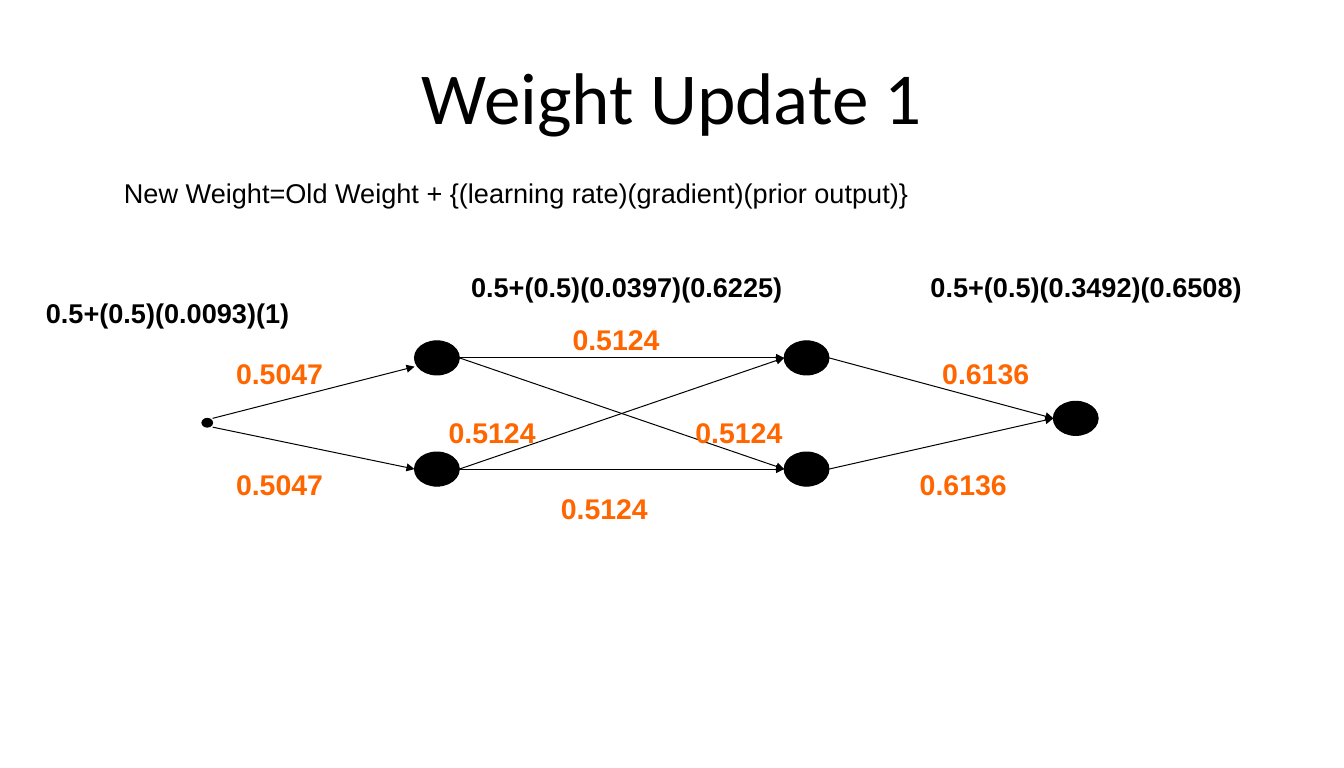
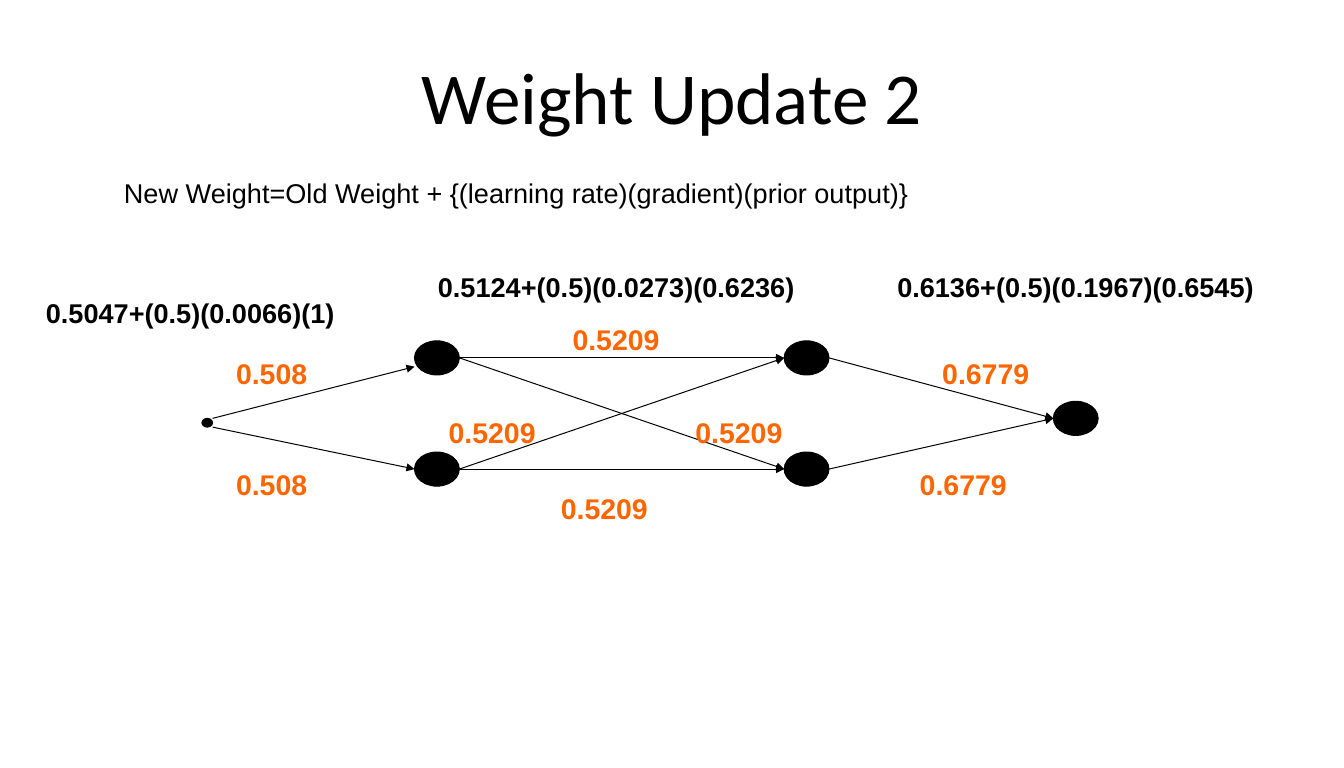
from lxml import etree
from pptx import Presentation
from pptx.dml.color import RGBColor
from pptx.enum import shapes, text
from pptx.oxml.ns import qn
from pptx.util import Inches, Pt

BLACK = RGBColor(0x00, 0x00, 0x00)
ORANGE = RGBColor(0xFF, 0x66, 0x00)

SLIDE_WIDTH, SLIDE_HEIGHT = Inches(13.78), Inches(63 / 8)

RULE = "New Weight=Old Weight + {(learning rate)(gradient)(prior output)}"
UPDATES = [
    {
        "title": "Weight Update 1",
        "formulas": [
            ("0.5+(0.5)(0.0093)(1)", 0.35, 2.98, 4.02),
            ("0.5+(0.5)(0.0397)(0.6225)", 4.71, 2.71, 4.02),
            ("0.5+(0.5)(0.3492)(0.6508)", 9.42, 2.71, 4.02),
        ],
        "weights": {"input": "0.5047", "hidden": "0.5124", "output": "0.6136"},
    },
    {
        "title": "Weight Update 2",
        "formulas": [
            ("0.5047+(0.5)(0.0066)(1)", 0.35, 2.98, 4.02),
            ("0.5124+(0.5)(0.0273)(0.6236)", 4.37, 2.71, 4.36),
            ("0.6136+(0.5)(0.1967)(0.6545)", 9.08, 2.71, 4.36),
        ],
        "weights": {"input": "0.508", "hidden": "0.5209", "output": "0.6779"},
    },
]

WEIGHT_PLACES = {
    "input": [(2.3, 3.59), (2.3, 4.73)],
    "hidden": [(5.75, 3.24), (4.48, 4.2), (7.01, 4.2), (5.63, 4.98)],
    "output": [(9.54, 3.59), (9.31, 4.73)],
}

NODE_WIDTH, NODE_HEIGHT = 0.46, 0.35
FIRST_X, SECOND_X, OUTPUT_X = 4.25, 8.04, 10.8
UPPER_Y, LOWER_Y, OUTPUT_Y = 3.67, 4.81, 4.29
INPUT_X, INPUT_Y, INPUT_WIDTH, INPUT_HEIGHT = 2.07, 4.29, 0.11, 0.09
ROWS = (UPPER_Y, LOWER_Y)

NODES = [(x, y) for x in (FIRST_X, SECOND_X) for y in ROWS] + [(OUTPUT_X, OUTPUT_Y)]
INPUT_RIGHT = INPUT_X + INPUT_WIDTH
ARROWS = [
    (INPUT_RIGHT, INPUT_Y, FIRST_X, 3.76),
    (INPUT_RIGHT, INPUT_Y + INPUT_HEIGHT, FIRST_X, LOWER_Y),
]
ARROWS += [(FIRST_X + NODE_WIDTH, start, SECOND_X, end) for start in ROWS for end in ROWS]
ARROWS += [(SECOND_X + NODE_WIDTH, start, OUTPUT_X, OUTPUT_Y) for start in ROWS]


def add_text(slide, content, left, top, width, height, size=20, font="Arial",
             color=BLACK, bold=False, align=text.PP_ALIGN.LEFT,
             anchor=text.MSO_ANCHOR.TOP):
    box = slide.shapes.add_textbox(Inches(left), Inches(top), Inches(width), Inches(height))
    frame = box.text_frame
    frame.word_wrap = True
    frame.vertical_anchor = anchor
    frame.margin_left = frame.margin_right = Inches(0.12)
    frame.margin_top = frame.margin_bottom = Inches(0.06)
    paragraph = frame.paragraphs[0]
    paragraph.alignment = align
    run = paragraph.add_run()
    run.text = content
    run.font.size = Pt(size)
    run.font.name = font
    run.font.bold = bold
    run.font.color.rgb = color


def add_node(slide, left, top, width, height):
    node = slide.shapes.add_shape(
        shapes.MSO_SHAPE.OVAL, Inches(left), Inches(top), Inches(width), Inches(height))
    node.shadow.inherit = False
    node.fill.solid()
    node.fill.fore_color.rgb = BLACK
    node.line.color.rgb = BLACK
    node.line.width = Pt(0.75)


def add_arrow(slide, *ends):
    arrow = slide.shapes.add_connector(
        shapes.MSO_CONNECTOR.STRAIGHT, *[Inches(value) for value in ends])
    arrow.line.color.rgb = BLACK
    arrow.line.width = Pt(0.75)
    etree.SubElement(arrow.line._get_or_add_ln(), qn("a:tailEnd"), type="triangle")
    etree.SubElement(arrow._element.spPr, qn("a:effectLst"))


def add_network(slide):
    for left, middle in NODES:
        add_node(slide, left, middle - NODE_HEIGHT / 2, NODE_WIDTH, NODE_HEIGHT)
    add_node(slide, INPUT_X, INPUT_Y, INPUT_WIDTH, INPUT_HEIGHT)
    for ends in ARROWS:
        add_arrow(slide, *ends)


def add_update(presentation, update):
    slide = presentation.slides.add_slide(presentation.slide_layouts[6])
    add_text(slide, update["title"], 0.69, 0.32, 12.4, 1.31, size=54, font="Calibri",
             align=text.PP_ALIGN.CENTER, anchor=text.MSO_ANCHOR.MIDDLE)
    add_network(slide)
    add_text(slide, RULE, 1.15, 1.75, 8.35, 0.46)
    for formula, left, top, width in update["formulas"]:
        add_text(slide, formula, left, top, width, 0.46, bold=True)
    for layer, places in WEIGHT_PLACES.items():
        for left, top in places:
            add_text(slide, update["weights"][layer], left, top, 1.61, 0.48,
                     size=21, color=ORANGE, bold=True)


def main():
    presentation = Presentation()
    presentation.slide_width = SLIDE_WIDTH
    presentation.slide_height = SLIDE_HEIGHT
    for update in UPDATES:
        add_update(presentation, update)
    presentation.save("out.pptx")


if __name__ == "__main__":
    main()
